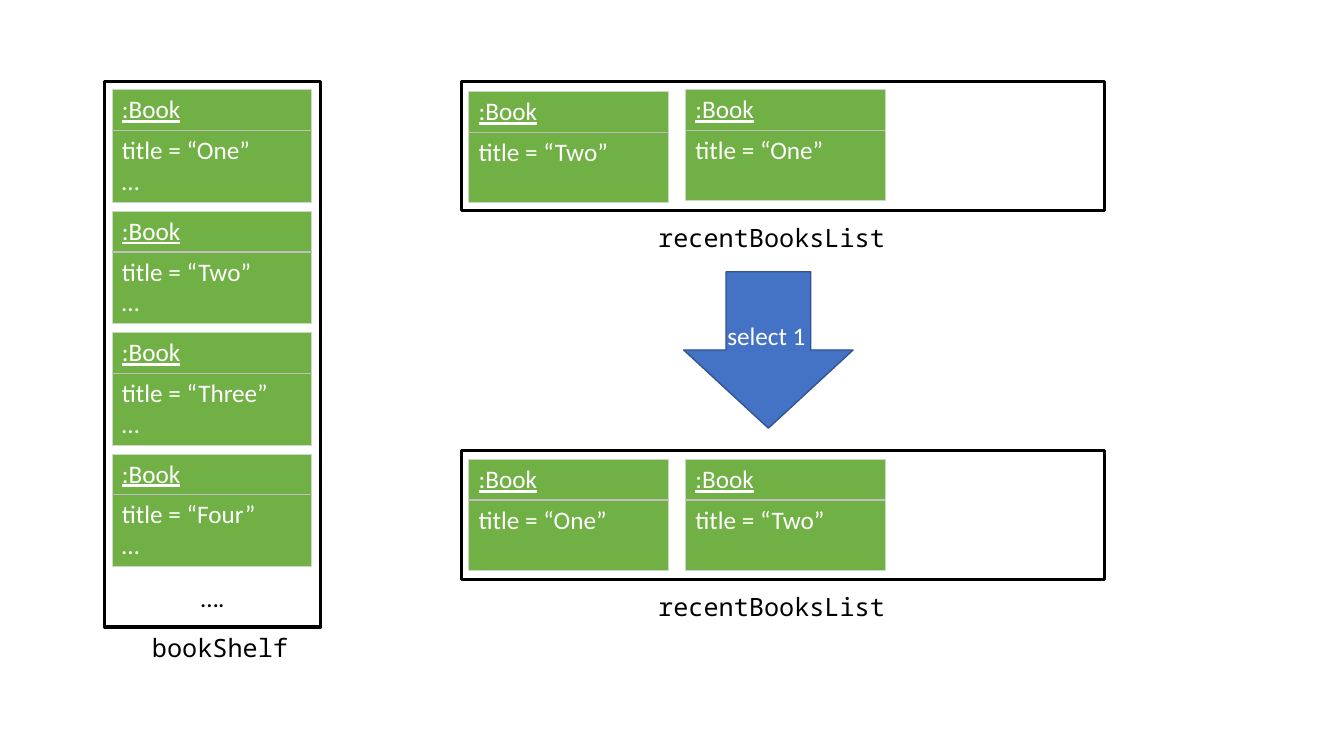
from dataclasses import dataclass

from lxml.etree import SubElement as Sub
from pptx import Presentation
from pptx.dml.color import RGBColor as Rgb
from pptx.enum.shapes import MSO_SHAPE as Shape
from pptx.enum.text import MSO_ANCHOR as Anchor
from pptx.enum.text import MSO_AUTO_SIZE as Fit
from pptx.enum.text import PP_ALIGN as Align
from pptx.oxml.ns import qn
from pptx.util import Cm, Pt


@dataclass(frozen=True)
class Theme:
    white: str = "FFFFFF"
    black: str = "000000"
    green: str = "70B044"
    blue: str = "4472C4"
    navy: str = "325491"
    edge: str = "C9DBC1"
    rule: str = "BFBFBF"
    sans: str = "Calibri"
    mono: str = "Noto Sans Mono"
    size: float = 18


THEME = Theme()
CARD_W, HEAD_H, BODY_H = 5.03, 1.02, 1.78
SHELF_X, SHELF_Y, SHELF_STEP = 2.82, 2.26, 3.06
LIST_X, LIST_STEP = 11.81, 5.46


def write(frame, text, color=THEME.black, font=THEME.sans, align=Align.LEFT,
          under=False):
    """Fill a text frame, one paragraph for each line of text."""
    frame.text = text
    for para in frame.paragraphs:
        para.alignment = align
        face = para.font
        face.name, face.size = font, Pt(THEME.size)
        face.underline = under
        face.color.rgb = Rgb.from_string(color)


def add_shape(slide, kind, box, fill, line, width):
    shape = slide.shapes.add_shape(kind, *map(Cm, box))
    shape.shadow.inherit = False
    shape.fill.solid()
    shape.fill.fore_color.rgb = Rgb.from_string(fill)
    shape.line.color.rgb = Rgb.from_string(line)
    shape.line.width = Pt(width)
    return shape


def add_frame(slide, *box):
    return add_shape(slide, Shape.RECTANGLE, box, THEME.white, THEME.black, 2.25)


def add_label(slide, text, box, wrap=True, **style):
    frame = slide.shapes.add_textbox(*map(Cm, box)).text_frame
    frame.word_wrap = wrap
    frame.auto_size = Fit.SHAPE_TO_FIT_TEXT
    write(frame, text, **style)


def add_name(slide, text, x, y):
    add_label(slide, text, (x, y, 6.83, 1.02), font=THEME.mono,
              align=Align.CENTER)


def set_edge(cell, side, color, width):
    props = cell._tc.get_or_add_tcPr()
    line = Sub(props, qn(f"a:ln{side}"), w=str(Pt(width)))
    Sub(Sub(line, qn("a:solidFill")), qn("a:srgbClr"), val=color)


def add_card(slide, x, y, body):
    """Draw a book object: a class row above its fields."""
    table = slide.shapes.add_table(
        2, 1, Cm(x), Cm(y), Cm(CARD_W), Cm(HEAD_H + BODY_H)).table
    table.first_row = table.horz_banding = False
    rows = ((":Book", HEAD_H, "B"), (body, BODY_H, "T"))
    for num, (text, height, inner) in enumerate(rows):
        table.rows[num].height = Cm(height)
        cell = table.cell(num, 0)
        for side in "LRTB":
            if side == inner:
                set_edge(cell, side, THEME.rule, 1)
            else:
                set_edge(cell, side, THEME.edge, 0.5)
        cell.fill.solid()
        cell.fill.fore_color.rgb = Rgb.from_string(THEME.green)
        write(cell.text_frame, text, color=THEME.white, under=num == 0)


def add_shelf(slide):
    shelf = add_frame(slide, 2.64, 2.06, 5.44, 13.74)
    frame = shelf.text_frame
    frame.vertical_anchor = Anchor.BOTTOM
    frame.margin_bottom = Cm(0.36)
    write(frame, "….", align=Align.CENTER)
    for num, title in enumerate(("One", "Two", "Three", "Four")):
        add_card(slide, SHELF_X, SHELF_Y + num * SHELF_STEP,
                 f"title = “{title}”\n…")
    add_name(slide, "bookShelf", 2.13, 15.82)


def add_list(slide, y, books):
    """Draw a list of books, each given as title and drop below the top."""
    add_frame(slide, 11.63, y, 16.21, 3.25)
    for num, (title, drop) in enumerate(books):
        add_card(slide, LIST_X + num * LIST_STEP, y + drop,
                 f"title = “{title}”")
    add_name(slide, "recentBooksList", 16.03, y + 3.43)


def add_arrow(slide):
    add_shape(slide, Shape.DOWN_ARROW, (17.23, 6.85, 4.27, 3.94),
              THEME.blue, THEME.navy, 1)
    add_label(slide, "select 1", (18.08, 7.95, 2.51, 1.02), wrap=False,
              color=THEME.white)


def main():
    deck = Presentation()
    deck.slide_width, deck.slide_height = Cm(33.87), Cm(19.05)
    slide = deck.slides.add_slide(deck.slide_layouts[6])
    add_shelf(slide)
    add_list(slide, 2.06, (("Two", 0.25), ("One", 0.2)))
    add_arrow(slide)
    add_list(slide, 11.35, (("One", 0.23), ("Two", 0.23)))
    deck.save("out.pptx")


if __name__ == "__main__":
    main()
